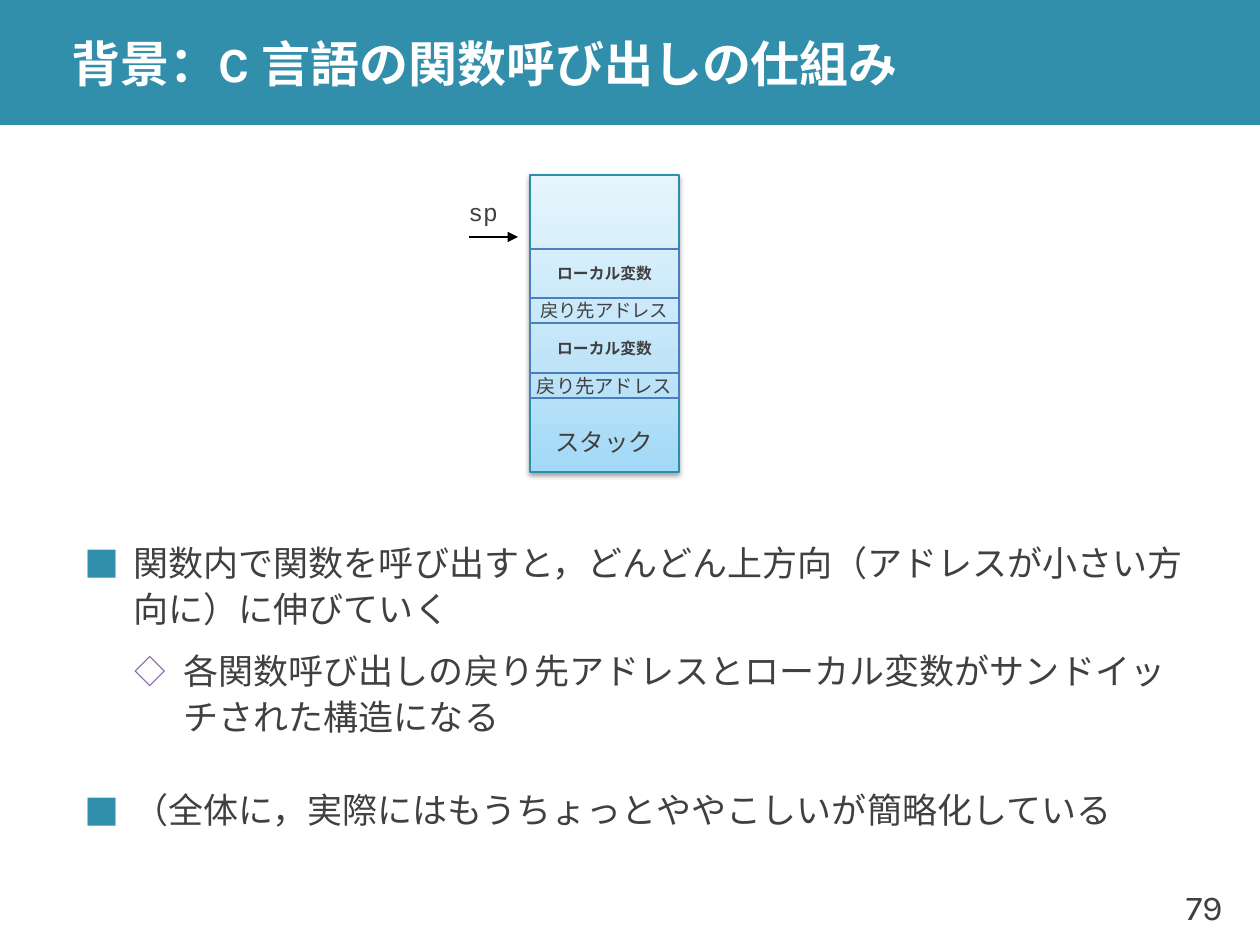
from typing import NamedTuple

from lxml.etree import SubElement
from pptx import Presentation
from pptx.dml.color import RGBColor
from pptx.enum.shapes import MSO_CONNECTOR, MSO_SHAPE
from pptx.enum.text import MSO_ANCHOR, MSO_AUTO_SIZE, PP_ALIGN
from pptx.oxml.ns import qn
from pptx.util import Pt

PX = 914400 / 126
COLORS = {
    "band": "328FAC", "white": "FFFFFF", "text": "404040", "purple": "8064A2",
    "stack_line": "2E8DAB", "row_line": "4B7EBC", "black": "000000",
}
STACK_STOPS = [(0, "A2D9F7"), (35, "BFE4F8"), (100, "E6F5FD")]
SANS, MONO, CJK = "Karla", "Courier New", "Noto Sans CJK JP"
STACK_X, STACK_Y, STACK_W, STACK_H = 530, 175, 149, 297
ROWS_Y = 249


class Style(NamedTuple):
    size: float
    font: str
    color: str = "text"
    bold: bool = False


class Row(NamedTuple):
    text: str
    height: int
    style: Style


class Bullet(NamedTuple):
    text: str
    level: int
    char: str
    color: str
    percent: int
    before: int
    after: int


LOCAL = Style(9, MONO, bold=True)
ROWS = [
    Row("ローカル変数", 49, LOCAL),
    Row("戻り先アドレス", 25, Style(10.5, CJK)),
    Row("ローカル変数", 50, LOCAL),
    Row("戻り先アドレス", 25, Style(11, CJK)),
]
BULLETS = [
    Bullet("関数内で関数を呼び出すと，どんどん上方向（アドレスが小さい方向に）に伸びていく",
           0, "■", "band", 100, 24, 6),
    Bullet("各関数呼び出しの戻り先アドレスとローカル変数がサンドイッチされた構造になる",
           1, "◇", "purple", 90, 3, 3),
    Bullet("（全体に，実際にはもうちょっとややこしいが簡略化している",
           0, "■", "band", 100, 24, 6),
]


def px(n: float) -> int:
    return round(n * PX)


def rgb(name: str) -> RGBColor:
    return RGBColor.from_string(COLORS[name])


def place(s, x: int, y: int, w: int, h: int) -> None:
    for name, value in {"left": x, "top": y, "width": w, "height": h}.items():
        setattr(s, name, px(value))


def write(p, text: str, style: Style) -> None:
    r = p.add_run()
    r.text = text
    for name, value in {"size": Pt(style.size), "bold": style.bold, "name": style.font}.items():
        setattr(r.font, name, value)
    r.font.color.rgb = rgb(style.color)
    ea = r._r.get_or_add_rPr().makeelement(qn("a:ea"), typeface=CJK)
    r._r.rPr.find(qn("a:latin")).addnext(ea)


def set_frame(tf, wrap: bool) -> None:
    for name, value in {"word_wrap": wrap, "auto_size": MSO_AUTO_SIZE.NONE,
                        "vertical_anchor": MSO_ANCHOR.MIDDLE}.items():
        setattr(tf, name, value)


def add_label(shapes, text: str, style: Style, box: tuple[int, int, int, int],
              align=PP_ALIGN.LEFT) -> None:
    tf = shapes.add_textbox(*map(px, box)).text_frame
    set_frame(tf, False)
    tf.paragraphs[0].alignment = align
    write(tf.paragraphs[0], text, style)


def add_rect(shapes, x: int, y: int, w: int, h: int, line: str | None = None):
    """Add an unfilled rectangle without shadow."""
    s = shapes.add_shape(MSO_SHAPE.RECTANGLE, px(x), px(y), px(w), px(h))
    s.shadow.inherit = False
    s.fill.background()
    if line:
        s.line.color.rgb = rgb(line)
        s.line.width = Pt(0.75)
    else:
        s.line.fill.background()
    return s


def add_stack(shapes) -> None:
    s = add_rect(shapes, STACK_X, STACK_Y, STACK_W, STACK_H, "stack_line")
    s.fill.gradient()
    s.fill.gradient_angle = 90
    stops = s._element.spPr.find(f".//{qn('a:gsLst')}")
    for gs in list(stops):
        stops.remove(gs)
    for pos, color in STACK_STOPS:
        gs = SubElement(stops, qn("a:gs"), pos=str(pos * 1000))
        SubElement(gs, qn("a:srgbClr"), val=color)
    effects = s._element.spPr.find(qn("a:effectLst"))
    shadow = SubElement(effects, qn("a:outerShdw"), blurRad=str(Pt(3.1)),
                        dist=str(Pt(1.6)), dir="5400000", rotWithShape="0")
    color = SubElement(shadow, qn("a:srgbClr"), val=COLORS["black"])
    SubElement(color, qn("a:alpha"), val="38000")


def add_rows(shapes) -> None:
    y = ROWS_Y
    for row in ROWS:
        s = add_rect(shapes, STACK_X, y, STACK_W, row.height, "row_line")
        set_frame(s.text_frame, False)
        p = s.text_frame.paragraphs[0]
        p.alignment = PP_ALIGN.CENTER
        write(p, row.text, row.style)
        y += row.height


def add_arrow(shapes, x1: int, x2: int, y: int) -> None:
    c = shapes.add_connector(MSO_CONNECTOR.STRAIGHT, px(x1), px(y), px(x2), px(y))
    c.line.color.rgb = rgb("black")
    c.line.width = Pt(0.75)
    SubElement(c.line._get_or_add_ln(), qn("a:tailEnd"), type="triangle")
    SubElement(c._element.spPr, qn("a:effectLst"))


def add_bullet(p, b: Bullet) -> None:
    for name, value in {"level": b.level, "line_spacing": 1.1, "alignment": PP_ALIGN.LEFT,
                        "space_before": Pt(b.before), "space_after": Pt(b.after)}.items():
        setattr(p, name, value)
    pPr = p._p.get_or_add_pPr()
    pPr.set("marL", str(px(49 + 50 * b.level)))
    pPr.set("indent", str(px(-49)))
    SubElement(SubElement(pPr, qn("a:buClr")), qn("a:srgbClr"), val=COLORS[b.color])
    SubElement(pPr, qn("a:buSzPct"), val=str(b.percent * 1000))
    SubElement(pPr, qn("a:buFont"), typeface=CJK)
    SubElement(pPr, qn("a:buChar"), char=b.char)
    write(p, b.text, Style(20, SANS))


def main() -> None:
    prs = Presentation()
    prs.slide_width, prs.slide_height = px(1260), px(945)
    slide = prs.slides.add_slide(prs.slide_layouts[1])
    shapes = slide.shapes
    title, body = shapes.title, slide.placeholders[1]

    band = add_rect(shapes, 0, 0, 1260, 125)
    band.fill.solid()
    band.fill.fore_color.rgb = rgb("band")
    title._element.addprevious(band._element)

    place(title, 59, 0, 1201, 125)
    tf = title.text_frame
    set_frame(tf, True)
    tf.margin_top = tf.margin_bottom = 0
    tf.paragraphs[0].alignment = PP_ALIGN.LEFT
    write(tf.paragraphs[0], "背景：C 言語の関数呼び出しの仕組み", Style(28, SANS, "white", True))

    place(body, 72, 498, 1141, 372)
    tf = body.text_frame
    set_frame(tf, True)
    for i, bullet in enumerate(BULLETS):
        add_bullet(tf.add_paragraph() if i else tf.paragraphs[0], bullet)

    add_stack(shapes)
    add_rows(shapes)
    add_arrow(shapes, 469, 518, 237)
    add_label(shapes, "sp", Style(14, MONO), (456, 199, 52, 25))
    add_label(shapes, "スタック", Style(14, MONO), (543, 423, 149, 38))
    add_label(shapes, "79", Style(20, SANS), (1150, 869, 85, 76), PP_ALIGN.RIGHT)
    prs.save("out.pptx")


if __name__ == "__main__":
    main()
